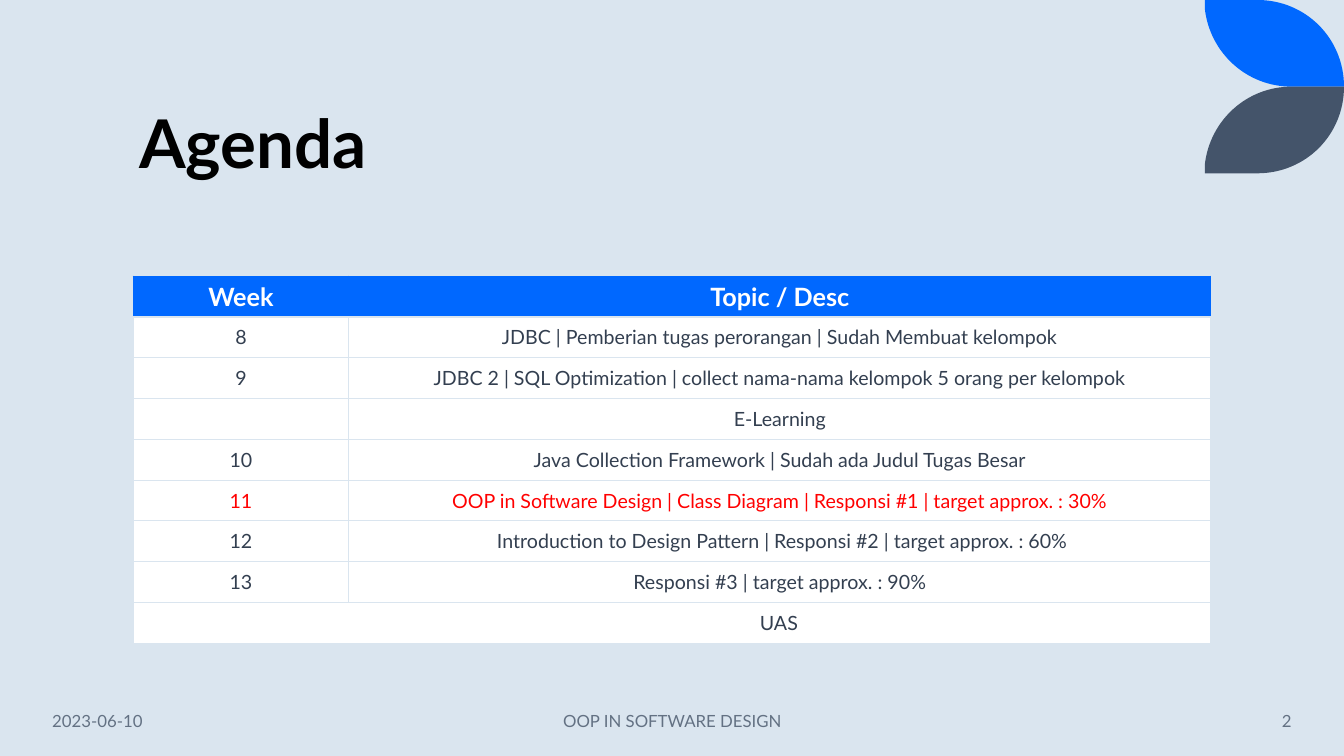
"""Build the Agenda slide with its weekly topic table."""
from lxml import etree
from pptx import Presentation
from pptx.dml.color import RGBColor
from pptx.enum.text import MSO_ANCHOR, PP_ALIGN
from pptx.oxml.ns import qn
from pptx.util import Inches, Pt

BACKGROUND = RGBColor(0xDA, 0xE5, 0xEF)
BLUE = RGBColor(0x00, 0x68, 0xFF)
SLATE = RGBColor(0x44, 0x54, 0x6A)
BODY = RGBColor(0x33, 0x3F, 0x50)
FOOTER = RGBColor(0x63, 0x71, 0x83)
RED = RGBColor(0xFF, 0x00, 0x00)
BLACK = RGBColor(0x00, 0x00, 0x00)
WHITE = RGBColor(0xFF, 0xFF, 0xFF)
LEFT, CENTER, RIGHT = PP_ALIGN.LEFT, PP_ALIGN.CENTER, PP_ALIGN.RIGHT
MIDDLE, BOTTOM = MSO_ANCHOR.MIDDLE, MSO_ANCHOR.BOTTOM

TOPICS = [
    ("Week", "Topic / Desc"),
    ("8", "JDBC | Pemberian tugas perorangan | Sudah Membuat kelompok"),
    ("9", "JDBC 2 | SQL Optimization | collect nama-nama kelompok 5 orang per kelompok"),
    ("", "E-Learning"),
    ("10", "Java Collection Framework | Sudah ada Judul Tugas Besar"),
    ("11", "OOP in Software Design | Class Diagram | Responsi #1 | target approx. : 30%"),
    ("12", " Introduction to Design Pattern | Responsi #2 | target approx. : 60%"),
    ("13", "Responsi #3 | target approx. : 90%"),
    ("UAS", ""),
]
CURRENT_WEEK = "11"
COLUMN_WIDTHS = [2.14, 8.55]
TABLE_HEIGHT = 3.64
LEAF_LEFT, LEAF_HEIGHT = 11.95, 0.86
LEAF_START = (0, 0)
LEAF_EDGES = [
    [(0.52, 0)],
    [(1, 0), (1.38, 0.38), (1.38, 0.86)],
    [(0.86, 0.86)],
    [(0.41, 0.86), (0.05, 0.52), (0, 0.09)],
]


def write_text(text_frame, text, alignment, **font_format):
    """Put one formatted paragraph into a text frame."""
    paragraph = text_frame.paragraphs[0]
    paragraph.alignment = alignment
    run = paragraph.add_run()
    run.text = text
    color = font_format.pop("color")
    for name, value in {"name": "Lato", **font_format}.items():
        setattr(run.font, name, value)
    run.font.color.rgb = color


def add_border(cell, side, color):
    """Draw a one-point border on one side of a table cell."""
    properties = cell._tc.get_or_add_tcPr()
    line = etree.SubElement(properties, qn(f"a:ln{side}"), w=str(Pt(1)))
    fill = etree.SubElement(line, qn("a:solidFill"))
    etree.SubElement(fill, qn("a:srgbClr"), val=str(color))


presentation = Presentation()
presentation.slide_width = Inches(13.33)
presentation.slide_height = Inches(7.5)
slide = presentation.slides.add_slide(presentation.slide_layouts[5])
slide.background.fill.solid()
slide.background.fill.fore_color.rgb = BACKGROUND

for color, top, direction in [(BLUE, 0, 1), (SLATE, 2 * LEAF_HEIGHT, -1)]:
    points = [(Inches(LEAF_LEFT + x), Inches(top + direction * y))
              for x, y in [LEAF_START] + sum(LEAF_EDGES, [])]
    builder = slide.shapes.build_freeform(*points[0])
    builder.add_line_segments(points[1:], close=True)
    leaf = builder.convert_to_shape()
    segments = iter(list(leaf._element.iter(qn("a:lnTo"))))
    for edge in LEAF_EDGES:
        edge_segments = [next(segments) for _ in edge]
        if len(edge) == 3:
            curve = etree.Element(qn("a:cubicBezTo"))
            edge_segments[0].addprevious(curve)
            for segment in edge_segments:
                curve.append(segment[0])
                segment.getparent().remove(segment)
    leaf.shadow.inherit = False
    leaf.fill.solid()
    leaf.fill.fore_color.rgb = color
    leaf.line.fill.background()

title = slide.shapes.title
title_box = {"left": 1.28, "top": 0.42, "width": 10.69, "height": 1.45}
for name, value in title_box.items():
    setattr(title, name, Inches(value))
title.text_frame.vertical_anchor = BOTTOM
write_text(title.text_frame, "Agenda", LEFT, size=Pt(48), bold=True, color=BLACK)
title.text_frame.paragraphs[0].line_spacing = 0.9

table = slide.shapes.add_table(
    len(TOPICS), len(COLUMN_WIDTHS), Inches(1.32), Inches(2.74),
    Inches(sum(COLUMN_WIDTHS)), Inches(TABLE_HEIGHT)).table
table.horz_banding = False
for column, width in zip(table.columns, COLUMN_WIDTHS):
    column.width = Inches(width)
for row_index, topic in enumerate(TOPICS):
    table.rows[row_index].height = Inches(TABLE_HEIGHT / len(TOPICS))
    is_header = row_index == 0
    cell_color = BLUE if is_header else WHITE
    text_color = RED if topic[0] == CURRENT_WEEK else BODY
    font_format = {
        "size": Pt(18 if is_header else 14),
        "bold": is_header,
        "color": WHITE if is_header else text_color,
    }
    for column_index, text in enumerate(topic):
        cell = table.cell(row_index, column_index)
        cell.vertical_anchor = MIDDLE
        for side in "LRTB":
            hidden = is_header and side != "B"
            add_border(cell, side, BLUE if hidden else BACKGROUND)
        cell.fill.solid()
        cell.fill.fore_color.rgb = cell_color
        if text:
            write_text(cell.text_frame, text, CENTER, **font_format)
exam_cell = table.cell(len(TOPICS) - 1, 0)
exam_cell.merge(table.cell(len(TOPICS) - 1, 1))
exam_paragraph = exam_cell.text_frame.paragraphs[0]
exam_paragraph._p.get_or_add_pPr().set("marL", str(Inches(2.12)))

for text, left, width, alignment in [
    ("2023-06-10", 0.42, 1.86, LEFT),
    ("OOP IN SOFTWARE DESIGN", 4.42, 4.5, CENTER),
    ("2", 11.1, 1.81, RIGHT),
]:
    footer = slide.shapes.add_textbox(Inches(left), Inches(6.95), Inches(width), Inches(0.4))
    footer.text_frame.word_wrap = True
    footer.text_frame.vertical_anchor = MIDDLE
    write_text(footer.text_frame, text, alignment, size=Pt(12), color=FOOTER)

presentation.save("out.pptx")
